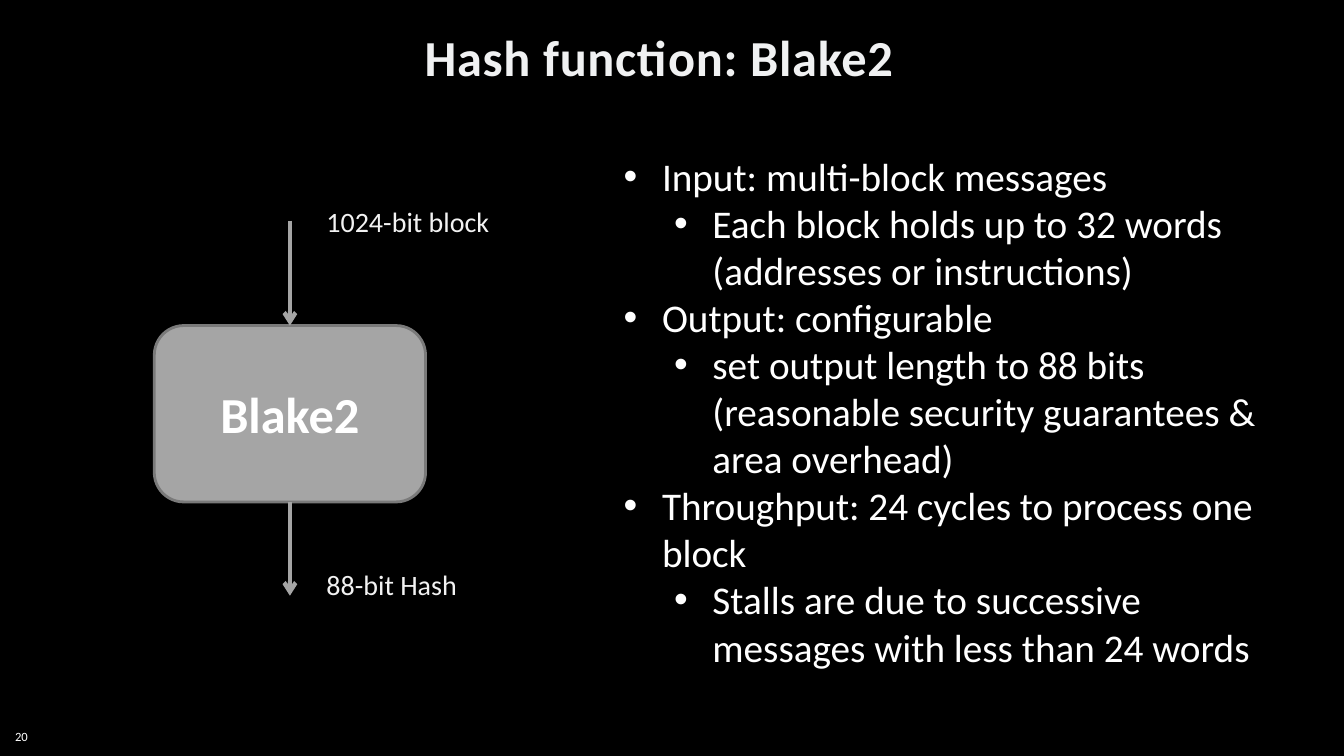
from dataclasses import dataclass

import lxml.etree
import pptx
import pptx.dml.color
import pptx.enum.shapes
import pptx.enum.text
import pptx.oxml.ns
import pptx.util

RGBColor = pptx.dml.color.RGBColor
Alignment = pptx.enum.text.PP_ALIGN
Anchor = pptx.enum.text.MSO_ANCHOR
qualified = pptx.oxml.ns.qn

BLACK = RGBColor(0x00, 0x00, 0x00)
WHITE = RGBColor(0xFF, 0xFF, 0xFF)
TITLE_WHITE = RGBColor(0xF0, 0xF1, 0xF2)
LABEL_WHITE = RGBColor(0xF2, 0xF2, 0xF2)
GRAY = RGBColor(0xA5, 0xA5, 0xA5)
DARK_GRAY = RGBColor(0x7A, 0x7A, 0x7A)
FONT = "Calibri"
BULLET_INDENT = 0.38
LEVEL_STEP = 0.5

presentation = pptx.Presentation()
presentation.slide_width = pptx.util.Inches(13.33)
presentation.slide_height = pptx.util.Inches(7.5)


@dataclass(frozen=True)
class Box:
    """A rectangle in percent of the slide's width and height."""

    left: float
    top: float
    width: float
    height: float

    @property
    def lengths(self) -> tuple[int, int, int, int]:
        return (across(self.left), down(self.top), across(self.width), down(self.height))


@dataclass(frozen=True)
class Label:
    text: str
    box: Box
    size: float
    color: RGBColor
    space_before: float = 0
    anchor: Anchor = Anchor.TOP


@dataclass(frozen=True)
class Arrow:
    start: float
    end: float


@dataclass(frozen=True)
class Bullet:
    text: str
    level: int = 0


def across(percent: float) -> int:
    return round(presentation.slide_width * percent / 100)


def down(percent: float) -> int:
    return round(presentation.slide_height * percent / 100)


def format_runs(paragraph, size: float, color: RGBColor, bold: bool = False) -> None:
    for run in paragraph.runs:
        run.font.name = FONT
        run.font.size = pptx.util.Pt(size)
        run.font.bold = bold
        run.font.color.rgb = color


def draw_title(slide, text: str, box: Box) -> None:
    title = slide.shapes.title
    title.left, title.top, title.width, title.height = box.lengths
    title.text_frame.text = text
    title.text_frame.auto_size = pptx.enum.text.MSO_AUTO_SIZE.NONE
    title.text_frame.vertical_anchor = Anchor.MIDDLE
    paragraph = title.text_frame.paragraphs[0]
    paragraph.alignment = Alignment.CENTER
    format_runs(paragraph, 36, TITLE_WHITE, bold=True)
    paragraph.runs[0].font._element.set("spc", "50")


def draw_block(slide, text: str, box: Box) -> None:
    block = slide.shapes.add_shape(
        pptx.enum.shapes.MSO_SHAPE.ROUNDED_RECTANGLE, *box.lengths
    )
    block.shadow.inherit = False
    block.fill.solid()
    block.fill.fore_color.rgb = GRAY
    block.line.color.rgb = DARK_GRAY
    block.line.width = pptx.util.Pt(2)
    block.text_frame.text = text
    block.text_frame.vertical_anchor = Anchor.MIDDLE
    paragraph = block.text_frame.paragraphs[0]
    paragraph.alignment = Alignment.CENTER
    format_runs(paragraph, 36, WHITE, bold=True)


def draw_arrow(slide, arrow: Arrow, center: float) -> None:
    connector = slide.shapes.add_connector(
        pptx.enum.shapes.MSO_CONNECTOR.STRAIGHT,
        across(center), down(arrow.start), across(center), down(arrow.end),
    )
    connector.line.color.rgb = GRAY
    connector.line.width = pptx.util.Pt(3)
    line = connector.line._get_or_add_ln()
    lxml.etree.SubElement(line, qualified("a:tailEnd"), type="arrow")
    lxml.etree.SubElement(connector._element.spPr, qualified("a:effectLst"))


def draw_label(slide, label: Label) -> None:
    text_frame = slide.shapes.add_textbox(*label.box.lengths).text_frame
    text_frame.word_wrap = True
    text_frame.vertical_anchor = label.anchor
    text_frame.text = label.text
    paragraph = text_frame.paragraphs[0]
    paragraph.space_before = pptx.util.Pt(label.space_before)
    format_runs(paragraph, label.size, label.color)


def draw_bullets(slide, bullets: list[Bullet], box: Box) -> None:
    text_frame = slide.shapes.add_textbox(*box.lengths).text_frame
    text_frame.word_wrap = True
    text_frame.text = "\n".join(bullet.text for bullet in bullets)
    for paragraph, bullet in zip(text_frame.paragraphs, bullets):
        paragraph.level = bullet.level
        margin = BULLET_INDENT + LEVEL_STEP * bullet.level
        properties = paragraph._p.get_or_add_pPr()
        properties.set("marL", str(pptx.util.Inches(margin)))
        properties.set("indent", str(-pptx.util.Inches(BULLET_INDENT)))
        lxml.etree.SubElement(properties, qualified("a:buFont"), typeface="Arial")
        lxml.etree.SubElement(properties, qualified("a:buChar"), char="•")
        format_runs(paragraph, 28, WHITE)


BLOCK = Box(11.48, 43.07, 20.18, 23.33)
BLOCK_CENTER = BLOCK.left + BLOCK.width / 2
ARROWS = [Arrow(29.2, BLOCK.top), Arrow(BLOCK.top + BLOCK.height, 78.8)]
LABELS = [
    Label("1024-bit block", Box(23.55, 26.4, 16.2, 5.87), 20, LABEL_WHITE, 3),
    Label("88-bit Hash", Box(23.55, 74.4, 16.2, 5.87), 20, LABEL_WHITE, 3),
    Label("20", Box(0.38, 95.47, 5.48, 3.87), 9, WHITE, anchor=Anchor.MIDDLE),
]
BULLETS = [
    Bullet("Input: multi-block messages"),
    Bullet("Each block holds up to 32 words (addresses or instructions)", 1),
    Bullet("Output: configurable"),
    Bullet(
        "set output length to 88 bits (reasonable security guarantees & area overhead)", 1
    ),
    Bullet("Throughput: 24 cycles to process one block"),
    Bullet("Stalls are due to successive messages with less than 24 words", 1),
]

slide = presentation.slides.add_slide(presentation.slide_layouts.get_by_name("Title Only"))
slide.background.fill.solid()
slide.background.fill.fore_color.rgb = BLACK

draw_block(slide, "Blake2", BLOCK)
draw_title(slide, "Hash function: Blake2", Box(1.95, 1.73, 94.2, 11.47))
for arrow in ARROWS:
    draw_arrow(slide, arrow, BLOCK_CENTER)
for label in LABELS:
    draw_label(slide, label)
draw_bullets(slide, BULLETS, Box(45.67, 19.47, 50.03, 70.4))

presentation.save("out.pptx")
